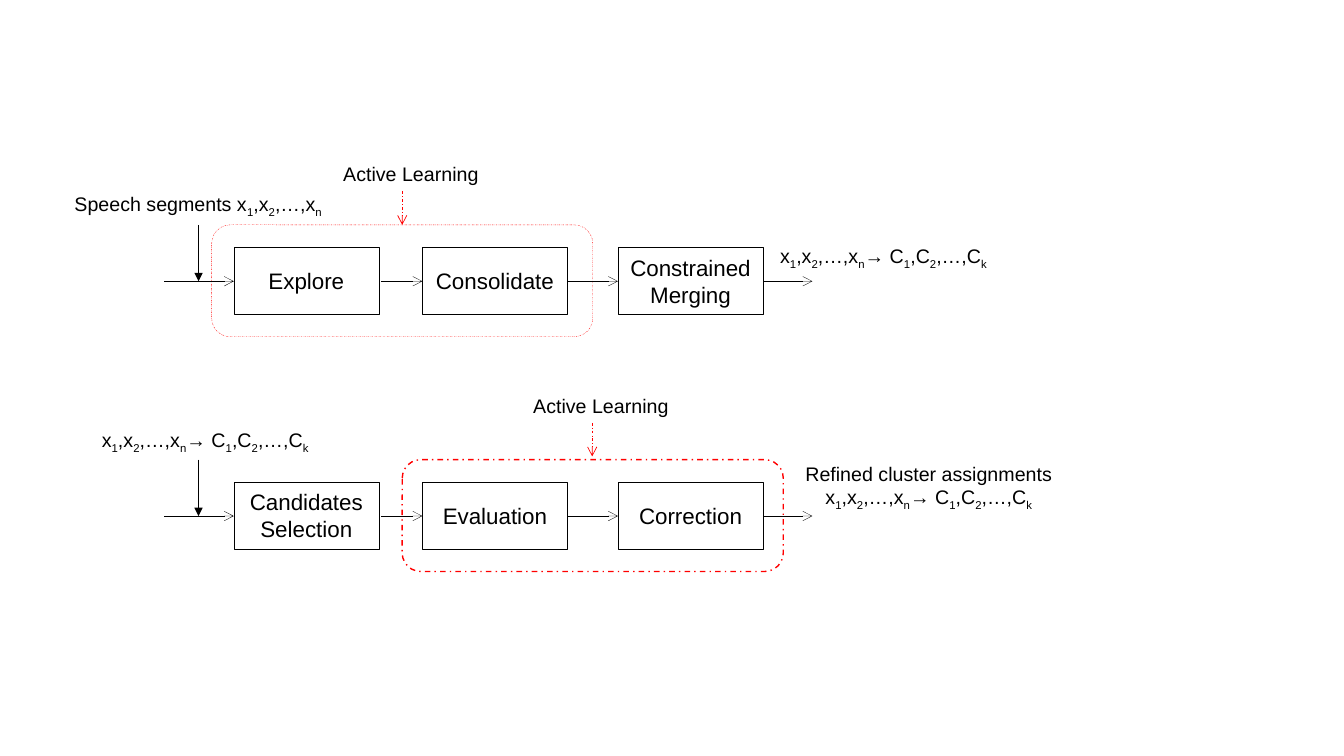
import pptx
import pptx.dml.color
import pptx.enum.dml
import pptx.enum.shapes
import pptx.enum.text
import pptx.oxml.ns
import pptx.util
from lxml import etree

Pt = pptx.util.Pt
SHAPE = pptx.enum.shapes.MSO_SHAPE
ALIGN = pptx.enum.text.PP_ALIGN
BLACK, RED, WHITE = "000000", "FF0000", "FFFFFF"
SERIES = "x_1,x_2,…,x_n"
RESULT = SERIES + "→ C_1,C_2,…,C_k"

BOX_W, BOX_H = 103.7, 48.2
BOX_LEFTS = (167, 301.7, 441.4)
FRAME_W, FRAME_H = 272.2, 79.9
FLOWS = ((117.4, 167), (272.2, 301.7), (405.4, 441.4), (545.1, 580.3))
FEED_X = 141.8
NOTE_W = 208.1


def color(code):
    return pptx.dml.color.RGBColor.from_string(code)


def stroke(line, code, width, dashed=False):
    line.color.rgb = color(code)
    line.width = Pt(width)
    if dashed:
        line.dash_style = pptx.enum.dml.MSO_LINE.DASH_DOT


def style(run, size):
    run.font.name = "Arial"
    run.font.size = Pt(size)
    run.font.color.rgb = color(BLACK)


def outline(shapes, kind, left, top, width, height):
    shape = shapes.add_shape(kind, Pt(left), Pt(top), Pt(width), Pt(height))
    shape.shadow.inherit = False
    return shape


def frame(shapes, left, top, width):
    shape = outline(shapes, SHAPE.ROUNDED_RECTANGLE, left, top,
                    FRAME_W, FRAME_H)
    shape.fill.solid()
    shape.fill.fore_color.rgb = color(WHITE)
    stroke(shape.line, RED, width, True)


def box(shapes, left, top, label):
    shape = outline(shapes, SHAPE.RECTANGLE, left, top, BOX_W, BOX_H)
    shape.fill.background()
    stroke(shape.line, BLACK, 0.25)
    text = shape.text_frame
    text.text = label
    text.word_wrap = True
    text.vertical_anchor = pptx.enum.text.MSO_ANCHOR.MIDDLE
    for par in text.paragraphs:
        par.alignment = ALIGN.CENTER
        for run in par.runs:
            style(run, 16)


def arrow(shapes, start, end, code=BLACK, width=0.25, head="arrow",
          dashed=False):
    link = shapes.add_connector(pptx.enum.shapes.MSO_CONNECTOR.STRAIGHT,
                                *map(Pt, start + end))
    stroke(link.line, code, width, dashed)
    qn = pptx.oxml.ns.qn
    props = link._element.spPr
    etree.SubElement(props.find(qn("a:ln")), qn("a:tailEnd"), type=head)
    etree.SubElement(props, qn("a:effectLst"))


def write(par, markup):
    """Fill a paragraph; the letter after each underscore is a subscript."""
    first, *rest = markup.split("_")
    pieces = [(first, False)]
    for part in rest:
        pieces += [(part[0], True), (part[1:], False)]
    for words, low in pieces:
        if words:
            run = par.add_run()
            run.text = words
            style(run, 14)
            if low:
                run._r.get_or_add_rPr().set("baseline", "-25000")


def note(shapes, left, top, width, lines, align=ALIGN.CENTER):
    area = shapes.add_textbox(Pt(left), Pt(top), Pt(width),
                              Pt(7.2 + 17 * len(lines)))
    text = area.text_frame
    text.word_wrap = True
    text.auto_size = pptx.enum.text.MSO_AUTO_SIZE.SHAPE_TO_FIT_TEXT
    for index, markup in enumerate(lines):
        par = text.add_paragraph() if index else text.paragraphs[0]
        par.alignment = align
        write(par, markup)


def stage(slide, mid, labels, left, width, hint):
    """Draw one row of steps; hint holds the x and tip y of the red arrow."""
    shapes = slide.shapes.add_group_shape().shapes
    top = mid - 40.3
    frame(shapes, left, top, width)
    for spot, label in zip(BOX_LEFTS, labels):
        box(shapes, spot, mid - BOX_H / 2 - 0.4, label)
    for start, end in FLOWS:
        arrow(shapes, (start, mid), (end, mid))
    arrow(shapes, (FEED_X, top), (FEED_X, mid), width=0.5, head="triangle")
    x, tip = hint
    arrow(shapes, (x, tip - 24), (x, tip), RED, 0.5, dashed=True)
    note(shapes, x - 49.2, tip - 48.4, 112.3, ["Active Learning"], ALIGN.LEFT)
    return shapes


def main():
    deck = pptx.Presentation()
    deck.slide_width, deck.slide_height = Pt(960), Pt(540)
    slide = deck.slides.add_slide(deck.slide_layouts[6])

    first = stage(slide, 200.9, ("Explore", "Consolidate",
                                 "Constrained\nMerging"),
                  151.2, 0.25, (287.3, 160.6))
    note(first, 46.1, 133.9, NOTE_W, ["Speech segments " + SERIES], ALIGN.LEFT)
    note(first, 527, 170.9, NOTE_W, [RESULT])

    second = stage(slide, 368.6, ("Candidates\nSelection", "Evaluation",
                                  "Correction"),
                   287.3, 1, (423, 326))
    note(second, 42.5, 302, NOTE_W, [RESULT])
    note(second, 559.4, 326.2, NOTE_W,
         ["Refined cluster assignments", RESULT])

    deck.save("out.pptx")


if __name__ == "__main__":
    main()
